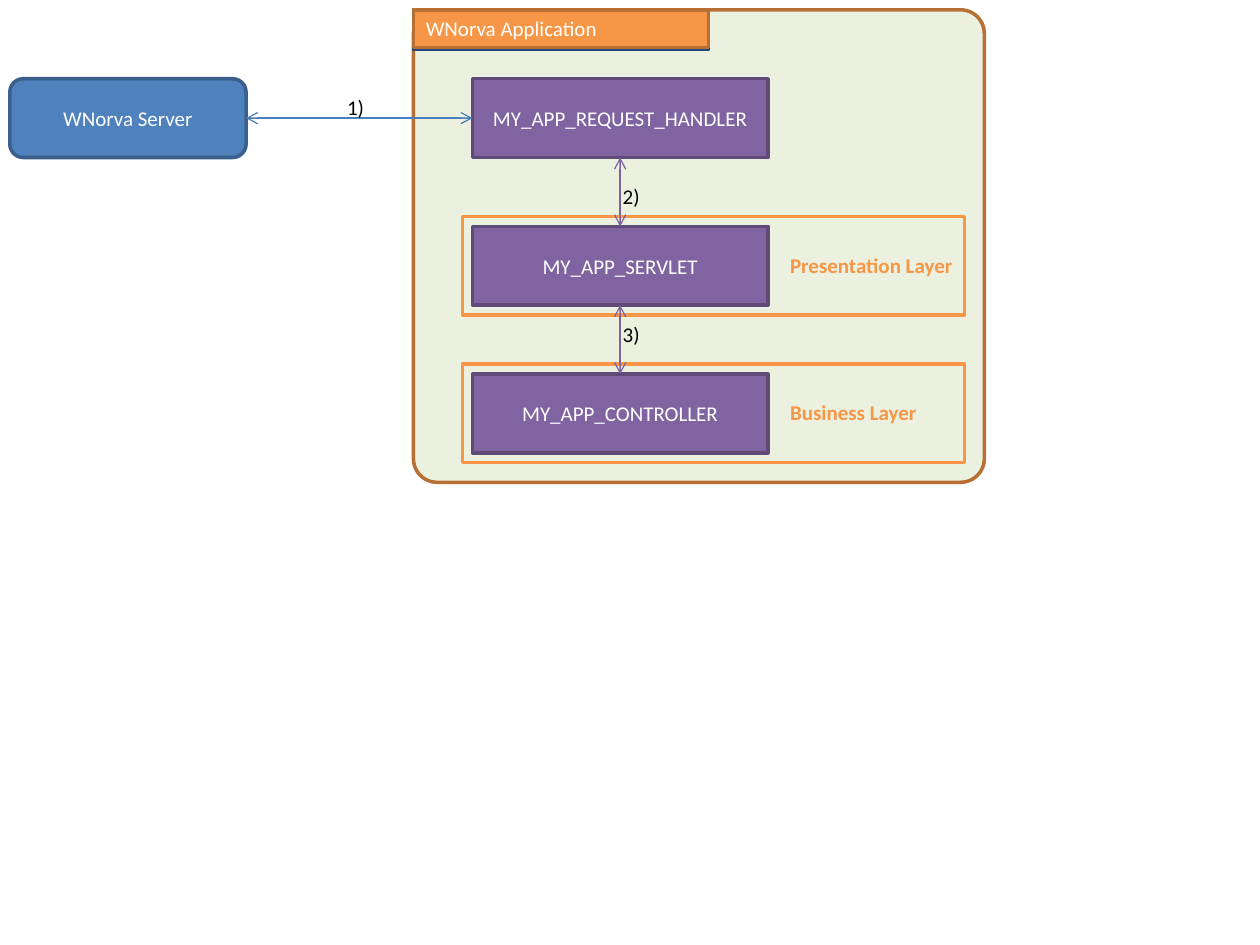
from lxml.etree import SubElement
from pptx import Presentation
from pptx.dml.color import RGBColor
from pptx.enum.shapes import MSO_CONNECTOR, MSO_SHAPE
from pptx.enum.text import MSO_ANCHOR, MSO_AUTO_SIZE, PP_ALIGN
from pptx.oxml.ns import qn
from pptx.util import Pt

COLORS = {
    "panel": "EBF1DE", "orange": "F79646", "brown": "B76F34",
    "blue": "4F81BD", "blue_edge": "3A5F8C", "navy": "1F497D", "blue_arrow": "4B7EBC",
    "purple": "8064A2", "purple_edge": "5F4A78", "purple_arrow": "7D60A0",
    "white": "FFFFFF", "black": "000000",
}
APPLICATION, SERVER = "WNorva Application", "WNorva Server"
CLASSES = ["MY_APP_REQUEST_HANDLER", "MY_APP_SERVLET", "MY_APP_CONTROLLER"]
LAYERS = [(1, "Presentation Layer"), (2, "Business Layer")]
STEPS = [("1)", 191.25, 50.6), ("2)", 348.75, 101.25), ("3)", 348.75, 180)]

CLASS_LEFT, CLASS_TOP, CLASS_PITCH = 270, 45, 84.38
CLASS_WIDTH, BOX_HEIGHT = 168.75, 45
PANEL_LEFT, PANEL_TOP = 236.25, 5.62
LAYER_WIDTH, LAYER_MARGIN = 286.88, 5.62
LABEL_LEFT, LABEL_DROP, LABEL_WIDTH, TEXT_HEIGHT = 444.38, 11.25, 135, 21.6
STEP_WIDTH = 28.12


def color(name):
    return RGBColor.from_string(COLORS[name])


def write(box, text, ink="white", bold=False, centred=False, grow=False):
    frame = box.text_frame
    frame.word_wrap = True
    frame.auto_size = MSO_AUTO_SIZE.SHAPE_TO_FIT_TEXT if grow else MSO_AUTO_SIZE.NONE
    frame.vertical_anchor = MSO_ANCHOR.MIDDLE if centred else MSO_ANCHOR.TOP
    para = frame.paragraphs[0]
    para.alignment = PP_ALIGN.CENTER if centred else PP_ALIGN.LEFT
    span = para.add_run()
    span.text = text
    span.font.name, span.font.size, span.font.bold = "Calibri", Pt(12), bold
    span.font.color.rgb = color(ink)


def add_box(page, left, top, width, height, edge, fill=None, rounding=None):
    kind = MSO_SHAPE.RECTANGLE if rounding is None else MSO_SHAPE.ROUNDED_RECTANGLE
    box = page.shapes.add_shape(kind, Pt(left), Pt(top), Pt(width), Pt(height))
    box.shadow.inherit = False
    if rounding is not None:
        box.adjustments[0] = rounding
    if fill:
        box.fill.solid()
        box.fill.fore_color.rgb = color(fill)
    else:
        box.fill.background()
    box.line.color.rgb = color(edge)
    box.line.width = Pt(2)
    return box


def add_label(page, text, left, top, width, **style):
    box = page.shapes.add_textbox(Pt(left), Pt(top), Pt(width), Pt(TEXT_HEIGHT))
    write(box, text, grow=True, **style)


def join(page, start, start_side, end, end_side, ink):
    arrow = page.shapes.add_connector(MSO_CONNECTOR.STRAIGHT, 0, 0, 0, 0)
    arrow.begin_connect(start, start_side)
    arrow.end_connect(end, end_side)
    arrow.line.color.rgb = color(ink)
    arrow.line.width = Pt(0.75)
    line = arrow.line._get_or_add_ln()
    for tip in ("a:headEnd", "a:tailEnd"):
        SubElement(line, qn(tip), type="arrow")
    SubElement(arrow._element.spPr, qn("a:effectLst"))


def main():
    deck = Presentation()
    deck.slide_width, deck.slide_height = Pt(720), Pt(540)
    page = deck.slides.add_slide(deck.slide_layouts[6])

    add_box(page, PANEL_LEFT, PANEL_TOP, 326.25, 270, "brown", "panel", rounding=0.05)

    class_boxes = []
    for row, name in enumerate(CLASSES):
        box = add_box(page, CLASS_LEFT, CLASS_TOP + row * CLASS_PITCH,
                      CLASS_WIDTH, BOX_HEIGHT, "purple_edge", "purple")
        write(box, name, centred=True)
        class_boxes.append(box)

    add_box(page, PANEL_LEFT, PANEL_TOP, CLASS_WIDTH, 22.5, "navy", "blue", rounding=0)
    title = add_box(page, PANEL_LEFT, PANEL_TOP, CLASS_WIDTH, TEXT_HEIGHT, "brown", "orange")
    write(title, APPLICATION, grow=True)

    server = add_box(page, 5.62, CLASS_TOP, 135, BOX_HEIGHT, "blue_edge", "blue", rounding=0.17)
    write(server, SERVER, centred=True)

    for row, name in LAYERS:
        top = CLASS_TOP + row * CLASS_PITCH
        add_label(page, name, LABEL_LEFT, top + LABEL_DROP, LABEL_WIDTH, ink="orange", bold=True)
        add_box(page, CLASS_LEFT - LAYER_MARGIN, top - LAYER_MARGIN,
                LAYER_WIDTH, BOX_HEIGHT + 2 * LAYER_MARGIN, "orange")

    join(page, server, 3, class_boxes[0], 1, "blue_arrow")
    for upper, lower in zip(class_boxes, class_boxes[1:]):
        join(page, upper, 2, lower, 0, "purple_arrow")

    for text, left, top in STEPS:
        add_label(page, text, left, top, STEP_WIDTH, ink="black")

    deck.save("out.pptx")


if __name__ == "__main__":
    main()
